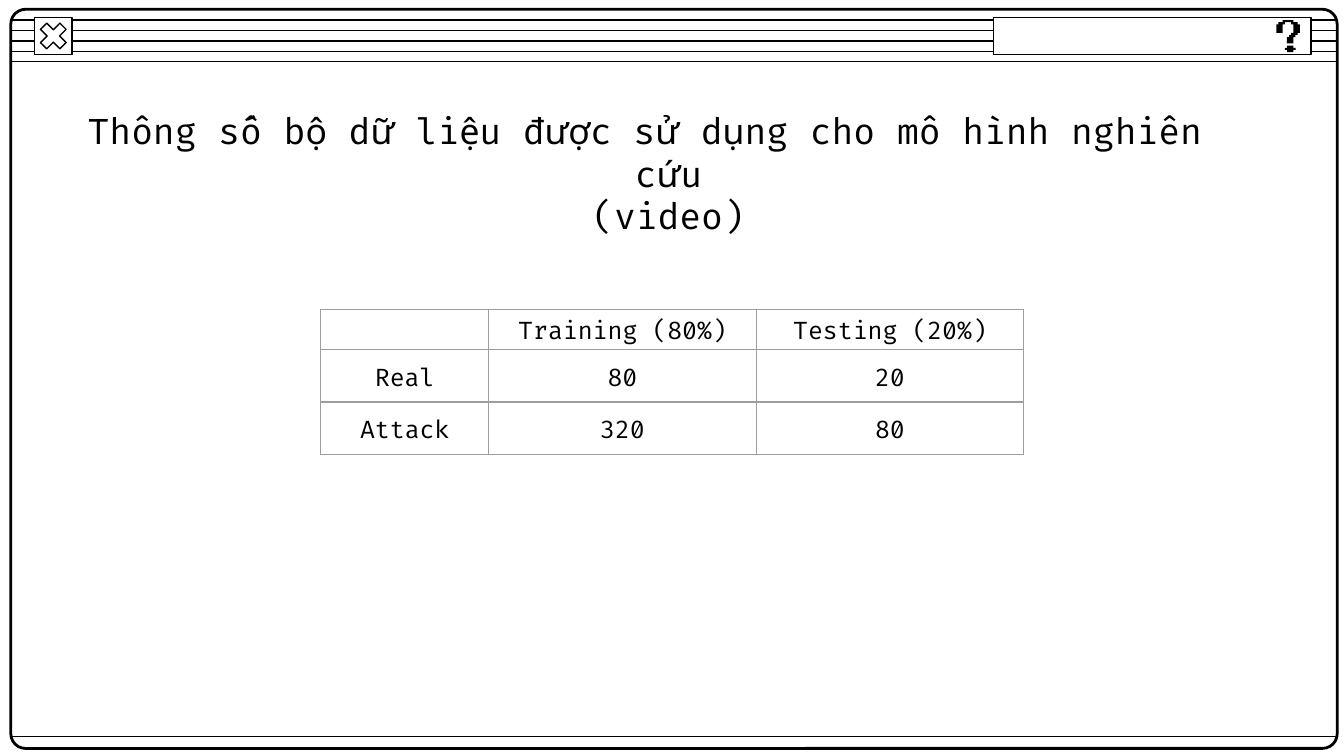
"""Build a retro window slide with a table of dataset sizes."""
from dataclasses import dataclass

from lxml import etree
from pptx import Presentation
from pptx import slide as sl
from pptx import util as u
from pptx.dml.color import RGBColor
from pptx.enum import shapes, text
from pptx.oxml import ns

Pt = u.Pt
BLACK = RGBColor(0, 0, 0)
WHITE = RGBColor(255, 255, 255)
GRAY = RGBColor(0x9E, 0x9E, 0x9E)

LEFT, WIDE = 5.8, 710.6
KIND = shapes.MSO_SHAPE
DOT = [(5, 12), (5, 13), (4, 13), (4, 14), (5, 14), (5, 15),
       (8, 15), (8, 14), (9, 14), (9, 13), (8, 13), (8, 12)]
HOOK = [(3, 0), (3, 1), (1, 1), (1, 2), (0, 2), (0, 6), (3, 6), (3, 2),
        (4, 2), (4, 1), (7, 1), (7, 2), (8, 2), (8, 6), (7, 6), (7, 7),
        (6, 7), (6, 8), (5, 8), (5, 11), (8, 11), (8, 8), (9, 8), (9, 7),
        (10, 7), (10, 6), (11, 6), (11, 2), (10, 2), (10, 1), (8, 1), (8, 0)]
ROWS = [["", "Training (80%)", "Testing (20%)"],
        ["Real", "80", "20"],
        ["Attack", "320", "80"]]


def write(para, words, size=13, color=BLACK, font="Fira Code", lead=None, gap=None):
    para.alignment = text.PP_ALIGN.CENTER
    para.line_spacing = lead
    if gap is not None:
        para.space_before = para.space_after = Pt(gap)
    for i, line in enumerate(words.split("\n")):
        if i:
            para.add_line_break()
        run = para.add_run()
        run.text = line
        run.font.size = Pt(size)
        run.font.name = font
        run.font.color.rgb = color


@dataclass
class Pen:
    slide: sl.Slide
    ink: RGBColor = BLACK
    thin: float = 0.75

    def line(self, x1, y1, x2, y2):
        rule = self.slide.shapes.add_connector(
            shapes.MSO_CONNECTOR.STRAIGHT, Pt(x1), Pt(y1), Pt(x2), Pt(y2))
        rule.line.color.rgb = self.ink
        rule.line.width = Pt(self.thin)
        etree.SubElement(rule.element.spPr, ns.qn("a:effectLst"))

    def box(self, kind, x, y, w, h, fill=WHITE, width=None, adj=None):
        shape = self.slide.shapes.add_shape(kind, Pt(x), Pt(y), Pt(w), Pt(h))
        shape.shadow.inherit = False
        if fill is None:
            shape.fill.background()
        else:
            shape.fill.solid()
            shape.fill.fore_color.rgb = fill
        shape.line.color.rgb = self.ink
        shape.line.width = Pt(width or self.thin)
        if adj is not None:
            shape.adjustments[0] = adj

    def pixel(self, spots, x, y, unit):
        form = self.slide.shapes.build_freeform(*spots[0], scale=Pt(unit))
        form.add_line_segments(spots[1:], close=True)
        shape = form.convert_to_shape(Pt(x), Pt(y))
        shape.shadow.inherit = False
        shape.fill.solid()
        shape.fill.fore_color.rgb = self.ink
        shape.line.fill.background()

    def title(self, words, x, y, w, h, size, left, dent):
        frame = self.slide.shapes.add_textbox(Pt(x), Pt(y), Pt(w), Pt(h)).text_frame
        frame.word_wrap = True
        frame.vertical_anchor = text.MSO_ANCHOR.MIDDLE
        frame.margin_left = frame.margin_right = Pt(7.2)
        frame.margin_top = frame.margin_bottom = Pt(7.2)
        para = frame.paragraphs[0]
        write(para, words, size=size, color=self.ink)
        props = para._p.get_or_add_pPr()
        props.set("marL", str(Pt(left)))
        props.set("indent", str(Pt(dent)))

    def edge(self, cell, color):
        props = cell._tc.get_or_add_tcPr()
        for i, side in enumerate(("lnL", "lnR", "lnT", "lnB")):
            rule = etree.Element(ns.qn("a:" + side), w=str(Pt(self.thin)))
            fill = etree.SubElement(rule, ns.qn("a:solidFill"))
            etree.SubElement(fill, ns.qn("a:srgbClr"), val=str(color))
            props.insert(i, rule)

    def table(self, rows, x, y, wide, high):
        grid = self.slide.shapes.add_table(
            len(rows), len(wide), Pt(x), Pt(y), Pt(sum(wide)), Pt(sum(high))).table
        grid.first_row = grid.horz_banding = False
        for col, w in zip(grid.columns, wide):
            col.width = Pt(w)
        for row, h, words in zip(grid.rows, high, rows):
            row.height = Pt(h)
            for cell, word in zip(row.cells, words):
                cell.fill.background()
                cell.vertical_anchor = text.MSO_ANCHOR.MIDDLE
                cell.margin_left = cell.margin_right = Pt(5.4)
                cell.margin_top = cell.margin_bottom = 0
                write(cell.text_frame.paragraphs[0], word, lead=1.2, gap=6)
                self.edge(cell, GRAY)


def main():
    deck = Presentation()
    deck.slide_width, deck.slide_height = Pt(720), Pt(405)
    pen = Pen(deck.slides.add_slide(deck.slide_layouts[6]))

    for i in range(5):
        y = 10.8 + 5.55 * i
        pen.line(LEFT, y, LEFT + WIDE, y)
    pen.box(KIND.ROUNDED_RECTANGLE, LEFT, 5, WIDE, 396, fill=None, width=1.5, adj=0.02)
    for kind, adj in ((KIND.RECTANGLE, None), (KIND.MATH_MULTIPLY, 0.235)):
        pen.box(kind, 18.6, 9.3, 20, 20, adj=adj)
    pen.line(LEFT, 394.5, LEFT + WIDE, 394.5)
    pen.box(KIND.RECTANGLE, 532.2, 9.3, 170.2, 20)
    for spots in (DOT, HOOK):
        pen.pixel(spots, 683.8, 10.8, 1.14)

    pen.title("Thông số bộ dữ liệu được sử dụng cho mô hình nghiên cứu\n(video)",
              16.5, 81.5, 647.3, 22.3, size=19, left=36, dent=-25.2)
    pen.table(ROWS, 171.8, 165.7, wide=[90, 143.3, 143.3], high=[19, 28, 28])
    deck.save("out.pptx")


if __name__ == "__main__":
    main()
